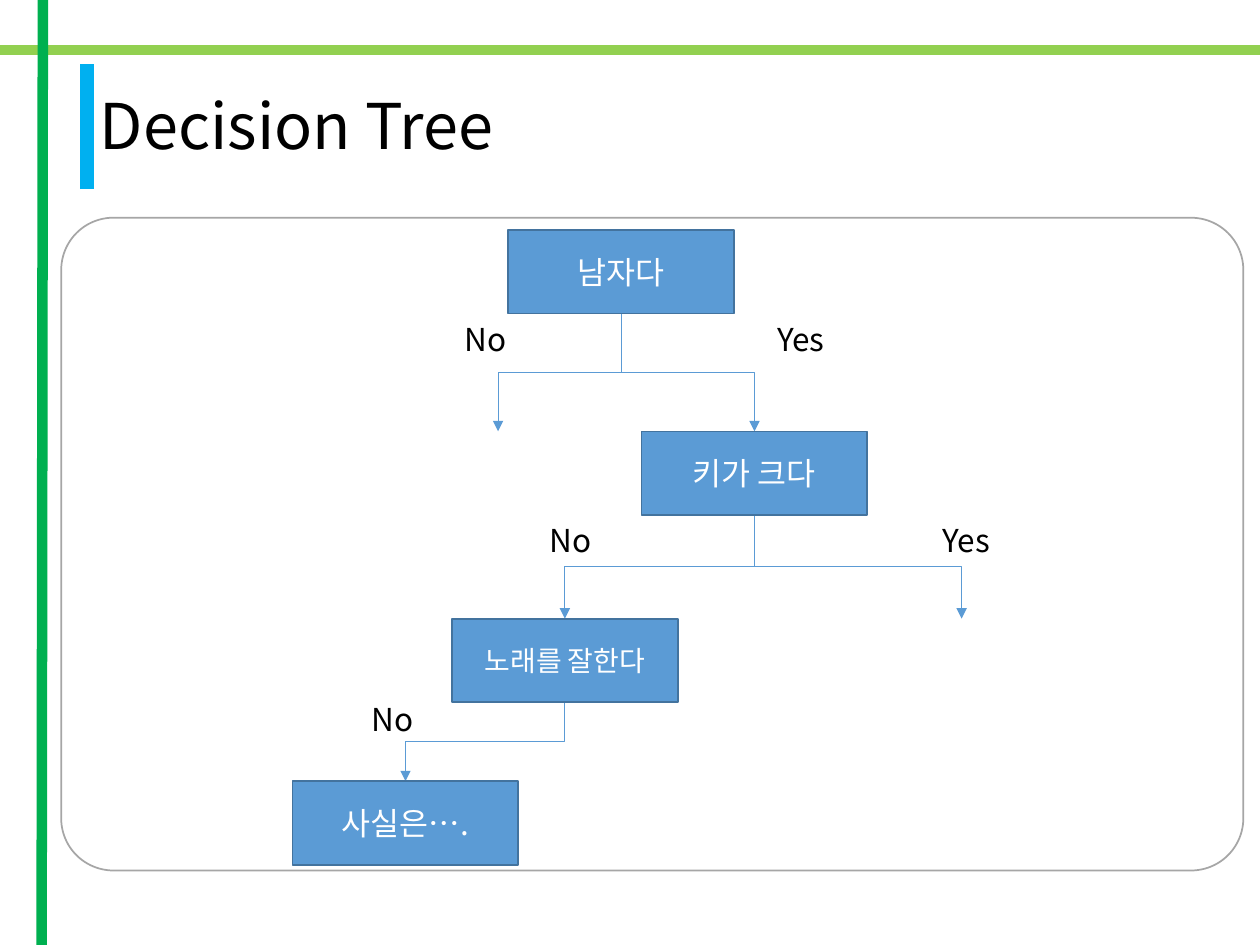
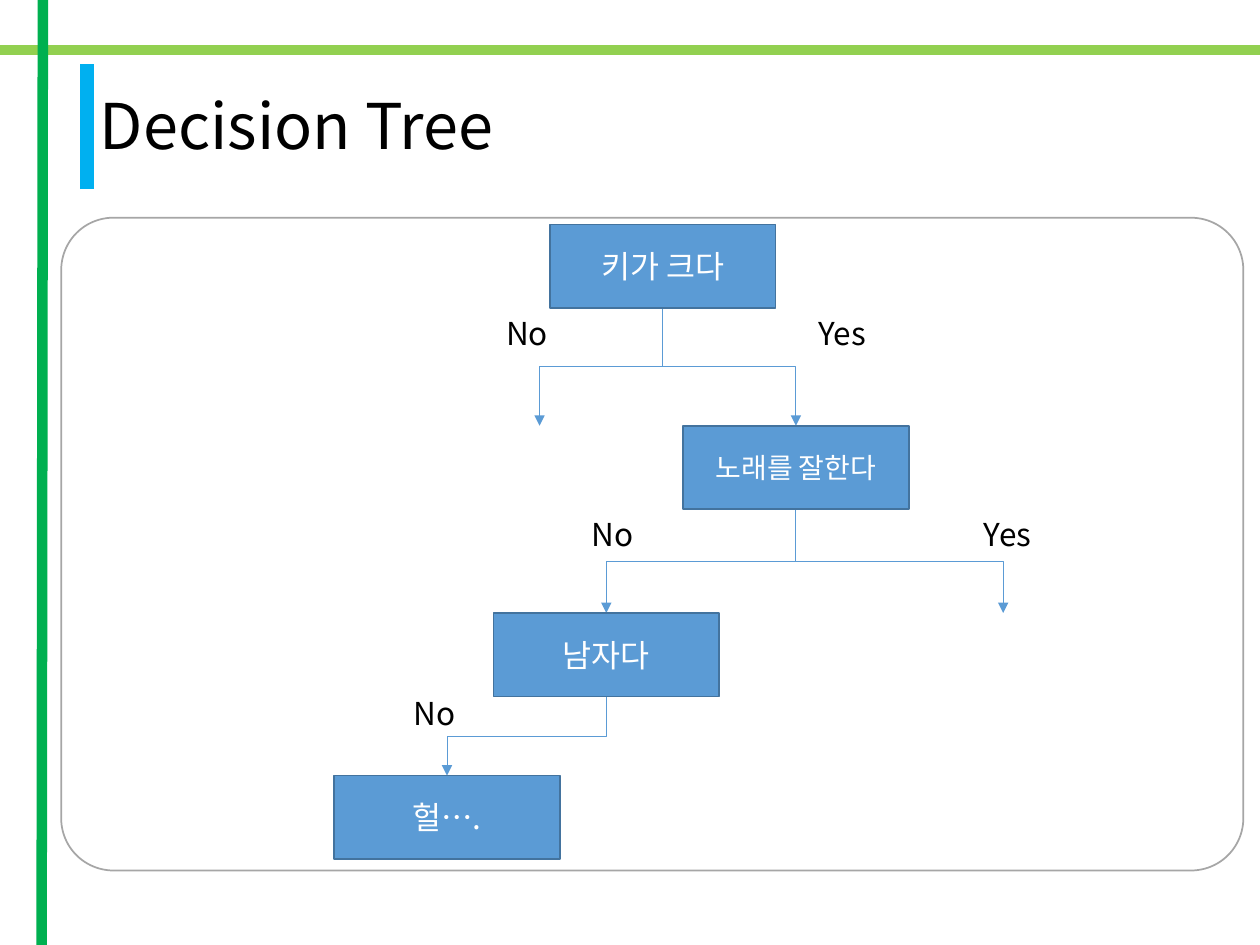
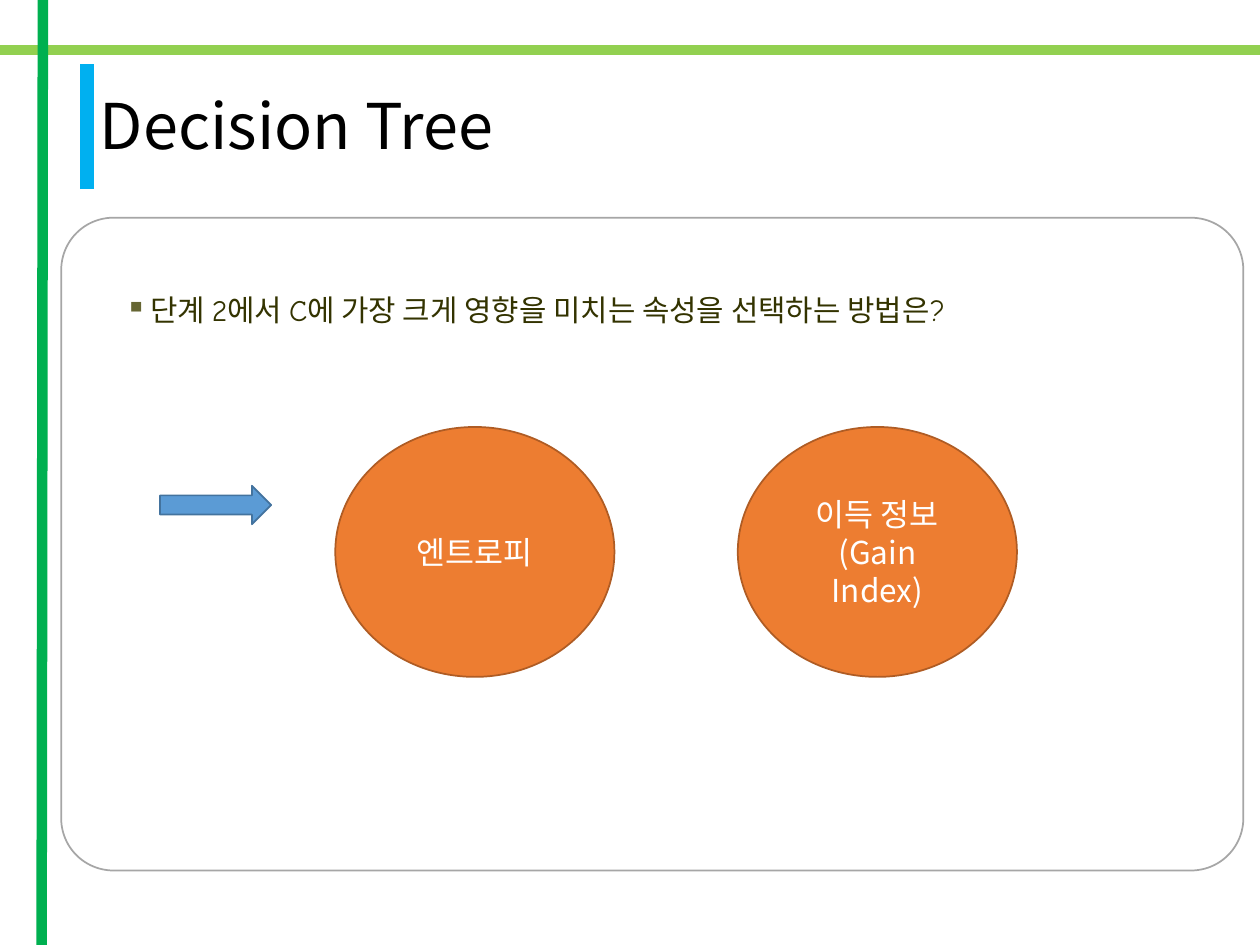
from lxml.etree import SubElement
from pptx import Presentation
from pptx.dml.color import RGBColor
from pptx.enum.shapes import MSO_CONNECTOR, MSO_SHAPE
from pptx.enum.text import MSO_ANCHOR, MSO_AUTO_SIZE, PP_ALIGN
from pptx.oxml.ns import qn
from pptx.util import Pt

# Colours
WHITE = RGBColor(0xFF, 0xFF, 0xFF)
BLACK = RGBColor(0x00, 0x00, 0x00)
LIME = RGBColor(0x92, 0xD0, 0x50)
GREEN = RGBColor(0x00, 0xB0, 0x50)
SKY = RGBColor(0x00, 0xB0, 0xF0)
GREY = RGBColor(0xA6, 0xA6, 0xA6)
BLUE = RGBColor(0x5B, 0x9B, 0xD5)
DARK_BLUE = RGBColor(0x43, 0x73, 0x9E)
ORANGE = RGBColor(0xED, 0x7D, 0x31)
DARK_ORANGE = RGBColor(0xAF, 0x5C, 0x24)
OLIVE = RGBColor(0x33, 0x33, 0x00)
BULLET_OLIVE = RGBColor(0x66, 0x66, 0x33)

# Text formats
SANS = "Noto Sans CJK KR"
TITLE = {"name": SANS, "size": Pt(36), "color": BLACK}
LABEL = {"name": SANS, "size": Pt(18), "color": BLACK}
NODE = {"name": SANS, "size": Pt(18), "color": WHITE}
LONG_NODE = {**NODE, "size": Pt(16)}
QUESTION = {"name": "Comic Neue", "size": Pt(17), "color": OLIVE}

# Tree layout in points: centre and top of each node, then the branches as
# parent node, arrow end, answer, and left and top of the answer
NODE_WIDTH, NODE_HEIGHT = 129, 47.7
NODE_PLACES = [(355, 131.4), (431.1, 246.5), (322.8, 353.5), (231.7, 446.4)]
BRANCHES = [
    (0, (284.6, 246.5), "No", (258.5, 179.1)),
    (0, NODE_PLACES[1], "Yes", (437, 179.1)),
    (1, NODE_PLACES[2], "No", (307.2, 294)),
    (1, (549.5, 353.5), "Yes", (531.5, 294)),
    (2, NODE_PLACES[3], "No", (205.4, 396.2)),
]


def points(*lengths):
    return [Pt(length) for length in lengths]


def format_span(span, look):
    for key, value in look.items():
        if key == "color":
            span.font.color.rgb = value
        else:
            setattr(span.font, key, value)
    SubElement(span.font._element, qn("a:ea"), typeface=SANS)


def write(box, lines, look, align=PP_ALIGN.LEFT, anchor=MSO_ANCHOR.TOP):
    frame = box.text_frame
    frame.word_wrap = True
    frame.vertical_anchor = anchor
    for index, line in enumerate(lines):
        para = frame.add_paragraph() if index else frame.paragraphs[0]
        para.alignment = align
        span = para.add_run()
        span.text = line
        format_span(span, look)
    return frame


def add_text(page, place, line, look, anchor=MSO_ANCHOR.TOP):
    box = page.shapes.add_textbox(*points(*place))
    return write(box, [line], look, anchor=anchor)


def add_figure(page, kind, place, fill, outline, lines=(), look=NODE):
    shape = page.shapes.add_shape(kind, *points(*place))
    shape.shadow.inherit = False
    if fill is None:
        shape.fill.background()
    else:
        shape.fill.solid()
        shape.fill.fore_color.rgb = fill
    shape.line.color.rgb = outline
    shape.line.width = Pt(1)
    if lines:
        write(shape, lines, look, PP_ALIGN.CENTER, MSO_ANCHOR.MIDDLE)
    return shape


def add_line(page, ends, color, width, kind=MSO_CONNECTOR.STRAIGHT):
    line = page.shapes.add_connector(kind, *points(*ends))
    line.line.color.rgb = color
    line.line.width = Pt(width)
    SubElement(line._element.spPr, qn("a:effectLst"))
    return line


def add_branch(page, start, end):
    """Draw an elbow arrow that leaves downwards and arrives downwards."""
    (x1, y1), (x2, y2) = start, end
    middle_x, middle_y = (x1 + x2) / 2, (y1 + y2) / 2
    half_width, half_height = (y2 - y1) / 2, abs(x2 - x1) / 2
    turn = 90 if x2 < x1 else 270
    if turn == 270:
        half_width = -half_width
    ends = (middle_x - half_width, middle_y - half_height,
            middle_x + half_width, middle_y + half_height)
    arrow = add_line(page, ends, BLUE, 0.5, MSO_CONNECTOR.ELBOW)
    arrow._element.spPr.find(qn("a:xfrm")).set("rot", str(turn * 60000))
    SubElement(arrow.line._get_or_add_ln(), qn("a:tailEnd"), type="triangle")


def add_bullet(para, mark, color):
    properties = para._p.get_or_add_pPr()
    properties.set("marL", str(Pt(28.8)))
    properties.set("indent", str(Pt(-14.4)))
    tint = SubElement(properties, qn("a:buClr"))
    SubElement(tint, qn("a:srgbClr"), val=str(color))
    SubElement(properties, qn("a:buChar"), char=mark)


def add_page(deck, title):
    """Add a slide with the bands, the frame and the title."""
    page = deck.slides.add_slide(deck.slide_layouts[6])
    add_line(page, (0, 28.7, 720, 28.7), LIME, 6)
    add_line(page, (24.5, 0, 23.8, 540), GREEN, 6)
    add_line(page, (49.7, 108, 49.7, 36.7), SKY, 8)
    frame = add_figure(page, MSO_SHAPE.ROUNDED_RECTANGLE,
                       (35, 124.4, 675.5, 373), None, GREY)
    frame.adjustments[0] = 0.08
    text = add_text(page, (50, 34.5, 620.6, 78.5), title, TITLE, MSO_ANCHOR.MIDDLE)
    text.paragraphs[0].line_spacing = 0.9
    return page


def add_tree(page, nodes, shift_x=0, shift_y=0):
    def moved(place):
        return place[0] + shift_x, place[1] + shift_y

    for parent, end, answer, label_place in BRANCHES:
        x, top = moved(NODE_PLACES[parent])
        add_branch(page, (x, top + NODE_HEIGHT), moved(end))
        label = add_text(page, (*moved(label_place), 52.6, 29.1), answer, LABEL)
        label.auto_size = MSO_AUTO_SIZE.SHAPE_TO_FIT_TEXT
    for (text, look), place in zip(nodes, NODE_PLACES):
        x, top = moved(place)
        add_figure(page, MSO_SHAPE.RECTANGLE,
                   (x - NODE_WIDTH / 2, top, NODE_WIDTH, NODE_HEIGHT),
                   BLUE, DARK_BLUE, [text], look)


def add_methods(page):
    text = add_text(page, (50, 163.4, 660, 438),
                    "단계 2에서 C에 가장 크게 영향을 미치는 속성을 선택하는 방법은?", QUESTION)
    para = text.paragraphs[0]
    para.space_before = Pt(3.4)
    add_bullet(para, "▪", BULLET_OLIVE)
    add_figure(page, MSO_SHAPE.RIGHT_ARROW, (91.5, 277.6, 63.5, 22), BLUE, DARK_BLUE)
    methods = [["엔트로피"], ["이득 정보", "(Gain Index)"]]
    for index, lines in enumerate(methods):
        add_figure(page, MSO_SHAPE.OVAL, (191.6 + 230 * index, 244, 159.5, 142.8),
                   ORANGE, DARK_ORANGE, lines)


def main():
    deck = Presentation()
    deck.slide_width, deck.slide_height = points(720, 540)

    man, tall = ("남자다", NODE), ("키가 크다", NODE)
    singer = ("노래를 잘한다", LONG_NODE)
    title = "Decision Tree"

    # Two orders of the same questions
    add_tree(add_page(deck, title), [man, tall, singer, ("사실은….", NODE)])
    add_tree(add_page(deck, title), [tall, singer, man, ("헐….", NODE)], 23.7, -3.2)

    # Ways to choose the attribute
    add_methods(add_page(deck, title))

    deck.save("out.pptx")


if __name__ == "__main__":
    main()
